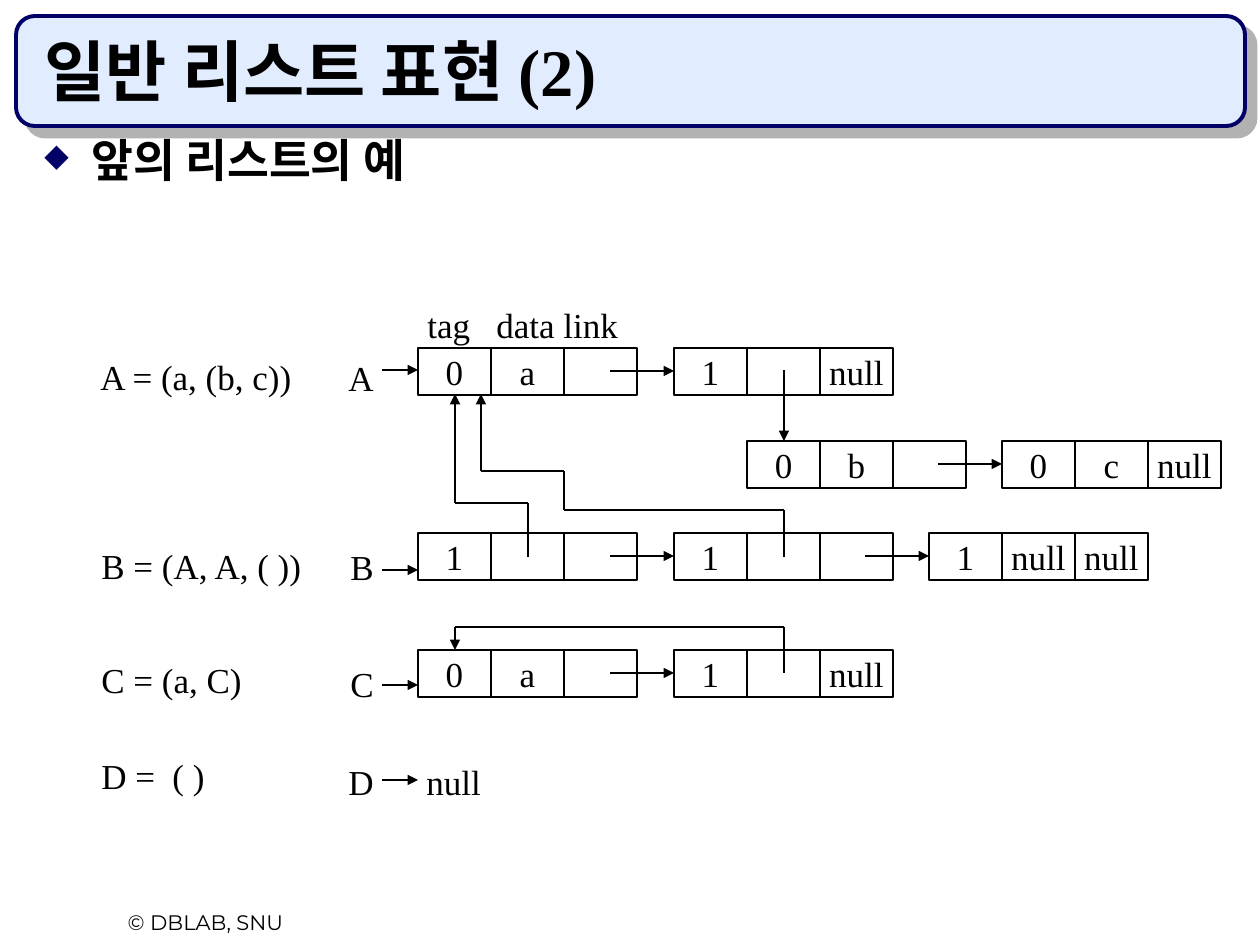
from lxml import etree
from pptx import Presentation
from pptx.dml.color import RGBColor
from pptx.enum.shapes import MSO_CONNECTOR, MSO_SHAPE
from pptx.enum.text import MSO_ANCHOR, MSO_AUTO_SIZE, PP_ALIGN
from pptx.oxml.ns import qn
from pptx.util import Emu, Pt

LINE = MSO_CONNECTOR.STRAIGHT
RECT, ROUND = MSO_SHAPE.RECTANGLE, MSO_SHAPE.ROUNDED_RECTANGLE
TOP, MID, BASE = MSO_ANCHOR.TOP, MSO_ANCHOR.MIDDLE, MSO_ANCHOR.BOTTOM
LEFT, MIDDLE = PP_ALIGN.LEFT, PP_ALIGN.CENTER
FIXED = MSO_AUTO_SIZE.NONE

BLACK = RGBColor(0x00, 0x00, 0x00)
NAVY = RGBColor(0x00, 0x00, 0x66)
PALE = RGBColor(0xE1, 0xEC, 0xFF)
GREY = RGBColor(0xB2, 0xB2, 0xB2)

SERIF, SANS = "Times New Roman", "Montserrat"
CELL_W, CELL_H, HALF = 73, 47, 23
ROW_A, ROW_SUB, ROW_B, ROW_C = 348, 441, 533, 650

NODES = [
    (418, ROW_A, ("0", "a", "")),
    (674, ROW_A, ("1", "", "null")),
    (747, ROW_SUB, ("0", "b", "")),
    (1002, ROW_SUB, ("0", "c", "null")),
    (418, ROW_B, ("1", "", "")),
    (674, ROW_B, ("1", "", "")),
    (929, ROW_B, ("1", "null", "null")),
    (418, ROW_C, ("0", "a", "")),
    (674, ROW_C, ("1", "", "null")),
]
LABELS = [
    ("A", 336, 350, 50, 0),
    ("B", 338, 539, 48, 0),
    ("C", 338, 656, 48, 0),
    ("D\tnull", 336, 754, 181, 78),
    ("tag\tdata link", 415, 297, 220, 69),
    ("A = (a, (b, c))", 88, 349, 218, 0),
    ("B = (A, A, ( ))", 89, 538, 227, 0),
    ("C = (a, C)", 89, 652, 165, 0),
    ("D =\t( )", 89, 748, 132, 71),
]
LINKS = [(610, ROW_A), (938, ROW_SUB), (610, ROW_B), (865, ROW_B), (610, ROW_C)]
HEADS = [370, 570, 685, 780]
PATHS = [
    [(784, 370), (784, ROW_SUB)],
    [(528, 557), (528, 503), (455, 503), (455, 394)],
    [(784, 557), (784, 510), (564, 510), (564, 471), (481, 471), (481, 394)],
    [(784, 673), (784, 627), (455, 627), (455, ROW_C)],
]


def px(num):
    """Turn pixels into EMU."""
    return Emu(round(num * 914400 / 126))


def style(item, vals):
    """Set each named value on an item."""
    for name, val in vals.items():
        setattr(item, name, val)


def node(up, tag, **vals):
    """Add a drawing element under a parent."""
    return etree.SubElement(up, qn("a:" + tag), vals)


def write(shape, text, size=20, face=SERIF, bold=False, align=LEFT,
          anchor=TOP, wrap=False):
    """Put one formatted line into a shape and return its paragraph."""
    frame = shape.text_frame
    style(frame, {"auto_size": FIXED, "word_wrap": wrap, "vertical_anchor": anchor})
    para = frame.paragraphs[0]
    para.alignment = align
    run = para.add_run()
    run.text = text
    style(run.font, {"size": Pt(size), "name": face, "bold": bold})
    run.font.color.rgb = BLACK
    return para


def label(slide, text, x, y, wide, tab=0, high=55, **form):
    """Add a text box, with one tab stop if asked."""
    box = slide.shapes.add_textbox(*map(px, (x, y, wide, high)))
    para = write(box, text, **{"wrap": bool(tab), **form})
    if tab:
        stops = node(para._p.get_or_add_pPr(), "tabLst")
        node(stops, "tab", pos=str(px(tab)), algn="l")
    return para


def cells(slide, x, y, texts):
    """Draw one list node as a row of cells."""
    for col, text in enumerate(texts):
        spot = map(px, (x + col * CELL_W, y, CELL_W, CELL_H))
        cell = slide.shapes.add_shape(RECT, *spot)
        cell.shadow.inherit = False
        cell.fill.background()
        cell.line.color.rgb = BLACK
        cell.line.width = Pt(0.75)
        if text:
            write(cell, text, align=MIDDLE, anchor=MID)


def arrow(slide, points):
    """Join points with lines and put a head on the last."""
    for start, end in zip(points, points[1:]):
        line = slide.shapes.add_connector(LINE, *map(px, start + end))
        line.line.color.rgb = BLACK
        line.line.width = Pt(0.75)
        props = line.element.spPr
        if end == points[-1]:
            node(props.find(qn("a:ln")), "tailEnd", type="triangle")
        node(props, "effectLst")


def banner(slide):
    """Draw the title panel behind all else."""
    panel = slide.shapes.add_shape(ROUND, *map(px, (16, 16, 1229, 110)))
    panel.adjustments[0] = 0.17
    panel.fill.solid()
    panel.fill.fore_color.rgb = PALE
    panel.line.color.rgb = NAVY
    panel.line.width = Pt(2.25)
    panel.shadow.inherit = False
    glow = panel.element.spPr.find(qn("a:effectLst"))
    cast = node(glow, "outerShdw", blurRad="0", dist=str(Pt(8.5)), dir="2700000",
                algn="ctr", rotWithShape="0")
    node(cast, "srgbClr", val=str(GREY))
    panel.element.getparent().insert(2, panel.element)


def heading(slide, text):
    """Place and format the title."""
    title = slide.shapes.title
    spot = map(px, (32, 32, 1187, 84))
    style(title, dict(zip(("left", "top", "width", "height"), spot)))
    write(title, text, size=38, bold=True, anchor=BASE, wrap=True)


def bullet(slide, text):
    """Add the bulleted line."""
    para = label(slide, text, 32, 136, 1187, high=734, size=26, bold=True, wrap=True)
    props = para._p.get_or_add_pPr()
    props.set("marL", str(px(47)))
    props.set("indent", str(-px(47)))
    node(node(props, "buClr"), "srgbClr", val=str(NAVY))
    node(props, "buSzPct", val="70000")
    node(props, "buChar", char="◆")
    para.line_spacing = 0.8


def main():
    """Build the slide and save it."""
    deck = Presentation()
    style(deck, {"slide_width": px(1260), "slide_height": px(945)})
    slide = deck.slides.add_slide(deck.slide_layouts[5])
    banner(slide)
    heading(slide, "일반 리스트 표현 (2)")
    bullet(slide, "앞의 리스트의 예")
    for item in NODES:
        cells(slide, *item)
    for item in LABELS:
        label(slide, *item)
    for y in HEADS:
        arrow(slide, [(382, y), (418, y)])
    for x, row in LINKS:
        arrow(slide, [(x, row + HALF), (x + 64, row + HALF)])
    for points in PATHS:
        arrow(slide, points)
    label(slide, "© DBLAB, SNU", 53, 903, 305, high=38, size=12, face=SANS,
          align=MIDDLE, wrap=True)
    deck.save("out.pptx")


if __name__ == "__main__":
    main()
